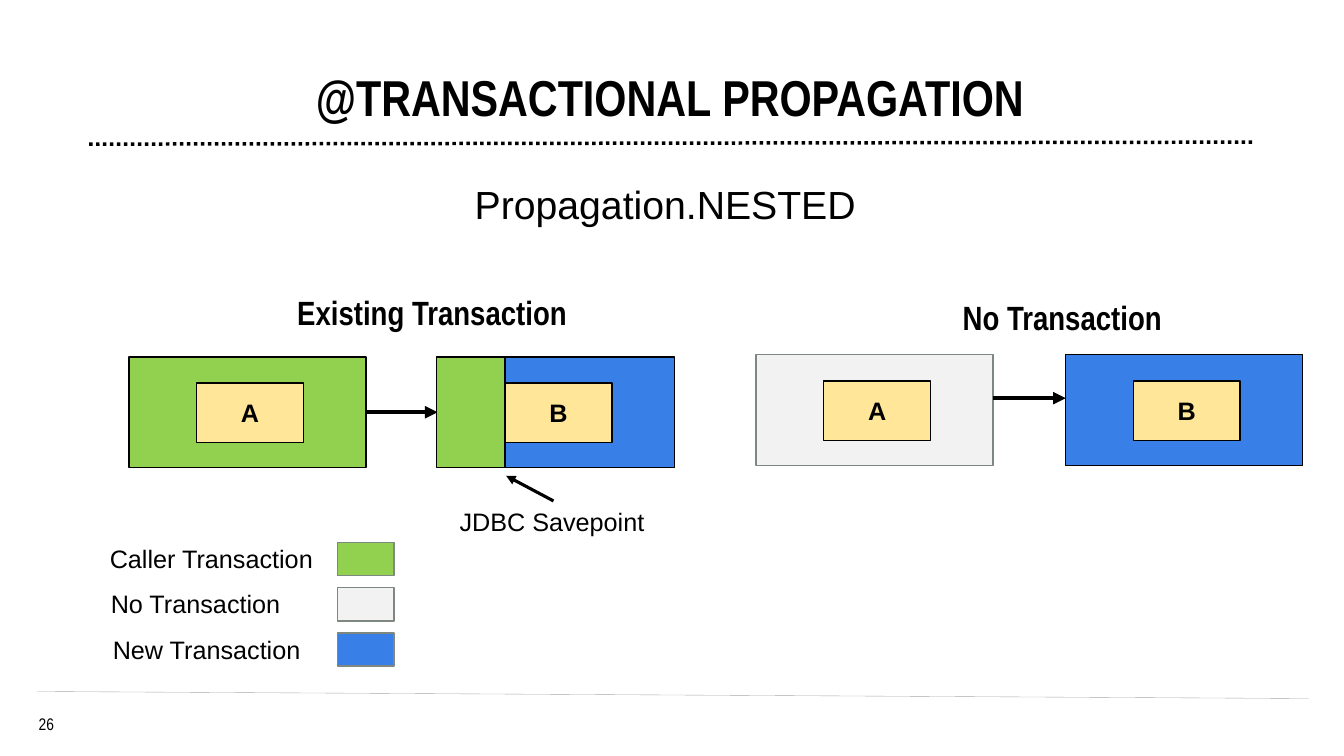
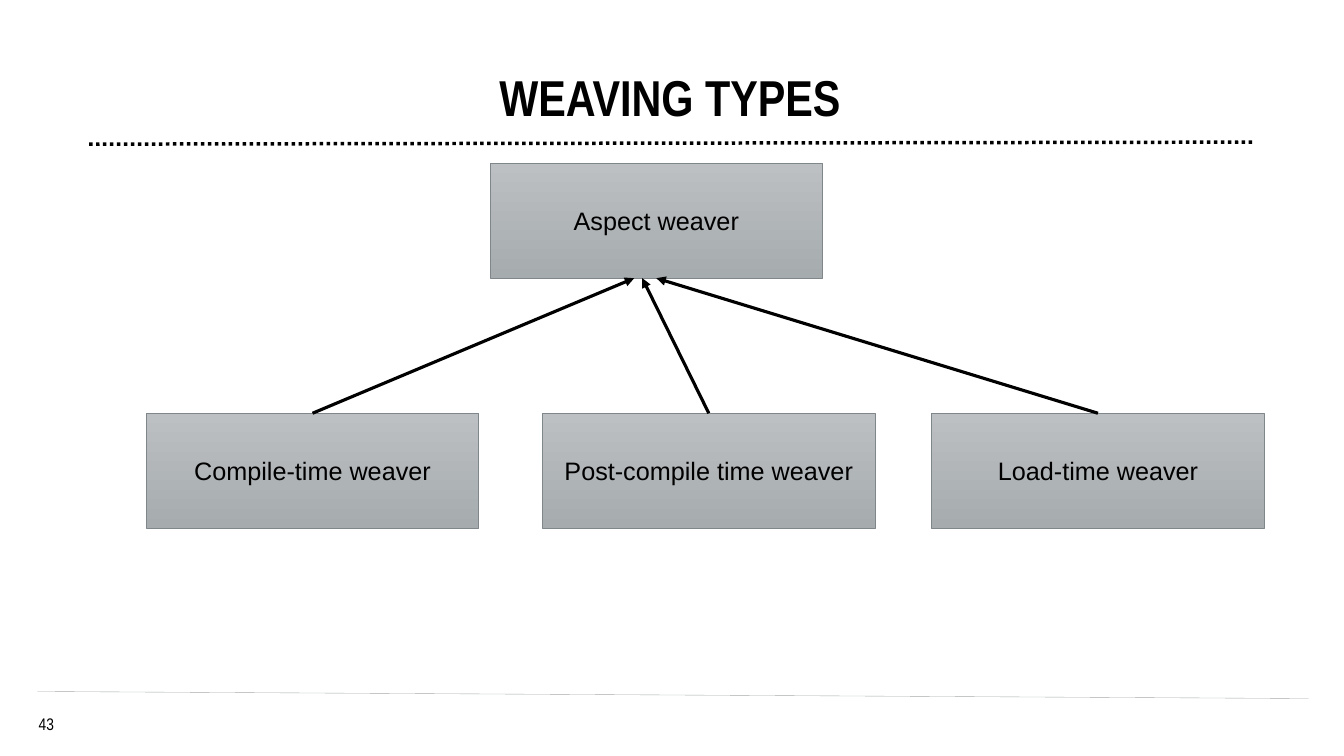
from dataclasses import dataclass

from lxml.etree import SubElement
from pptx import Presentation
from pptx.dml.color import RGBColor
from pptx.enum.dml import MSO_LINE
from pptx.enum.shapes import MSO_CONNECTOR, MSO_SHAPE
from pptx.enum.text import MSO_ANCHOR, PP_ALIGN
from pptx.oxml.ns import qn
from pptx.util import Inches, Pt


@dataclass(frozen=True)
class Theme:
    black: str = "000000"
    green: str = "92D050"
    grey: str = "F2F2F2"
    blue: str = "387FE8"
    cream: str = "FFE699"
    grey_edge: str = "7F8781"
    steel: tuple = ("BDC0C2", "A6ABAE")
    steel_edge: str = "7F878B"
    footer_rule: str = "A6AAA9"
    body_font: str = "Arial"
    narrow_font: str = "Arial Narrow"
    title_size: int = 36
    subtitle_size: int = 28
    heading_size: int = 24
    body_size: int = 18
    number_size: int = 12


THEME = Theme()
TOP, LEFT, BOTTOM, RIGHT = range(4)

# Propagation slide: one scenario is two participants joined by a call
OUTER = (2.35, 1.1)
INNER = (1.06, 0.59)
INNER_OFFSET = (0.67, 0.26)
SCENARIOS = [
    {"heading": "Existing Transaction", "heading_at": (2.85, 2.85), "top": 3.54,
     "participants": [("A", 1.28, THEME.green, THEME.black),
                      ("B", 4.34, THEME.blue, THEME.black)],
     "call_y": None},
    {"heading": "No Transaction", "heading_at": (9.45, 2.9), "top": 3.52,
     "participants": [("A", 7.5, THEME.grey, THEME.grey_edge),
                      ("B", 10.57, THEME.blue, THEME.black)],
     "call_y": 3.95},
]
SAVEPOINT_STRIP = (4.33, 3.54, 0.68, 1.1)
LEGEND = [("Caller Transaction", 0.99, THEME.green),
          ("No Transaction", 1.0, THEME.grey),
          ("New Transaction", 1.02, THEME.blue)]
LEGEND_TOP, LEGEND_STEP = 5.34, 0.45

# Weaving slide: every kind points at the parent's lower edge
WEAVER = (3.3, 1.14)
PARENT = ("Aspect weaver", 4.86, 1.62)
KINDS_TOP = 4.1
KINDS = [("Compile-time weaver", 1.45, 6.29),
         ("Post-compile time weaver", 5.38, 6.37),
         ("Load-time weaver", 9.24, 6.51)]


def rgb(color):
    return RGBColor.from_string(color)


def write(shape, text, size, font=THEME.body_font, bold=False, align=PP_ALIGN.LEFT):
    shape.text_frame.word_wrap = True
    para = shape.text_frame.paragraphs[0]
    para.text = text
    para.alignment = align
    para.font.size = Pt(size)
    para.font.name = font
    para.font.bold = bold
    para.font.color.rgb = rgb(THEME.black)
    return para


def add_text(slide, text, at, size, **style):
    box = slide.shapes.add_textbox(*map(Inches, at))
    write(box, text, size, **style)
    return box


def add_box(slide, at, fill, edge, edge_width=1, text=None, bold=False):
    """Draw a rectangle; a pair of fill colours runs from top to bottom."""
    box = slide.shapes.add_shape(MSO_SHAPE.RECTANGLE, *map(Inches, at))
    box.shadow.inherit = False
    if isinstance(fill, tuple):
        box.fill.gradient()
        box.fill.gradient_angle = 270
        for stop, color in zip(box.fill.gradient_stops, fill):
            stop.color.rgb = rgb(color)
    else:
        box.fill.solid()
        box.fill.fore_color.rgb = rgb(fill)
    box.line.color.rgb = rgb(edge)
    box.line.width = Pt(edge_width)
    if text:
        write(box, text, THEME.body_size, bold=bold, align=PP_ALIGN.CENTER)
        box.text_frame.vertical_anchor = MSO_ANCHOR.MIDDLE
    return box


def add_line(slide, start, end, width, color=THEME.black, dash=None, arrow=False):
    line = slide.shapes.add_connector(MSO_CONNECTOR.STRAIGHT,
                                      *map(Inches, (*start, *end)))
    line.line.color.rgb = rgb(color)
    line.line.width = Pt(width)
    if dash:
        line.line.dash_style = dash
    properties = line._element.spPr
    if arrow:
        SubElement(properties.find(qn("a:ln")), qn("a:tailEnd"), type="triangle")
    SubElement(properties, qn("a:effectLst"))
    return line


def add_page(deck, title, number):
    """Add a slide with the shared title, rules and page number."""
    slide = deck.slides.add_slide(deck.slide_layouts[6])
    number_box = add_text(slide, number, (0.22, 7.08, 0.48, 0.2), THEME.number_size,
                          font=THEME.narrow_font, align=PP_ALIGN.CENTER)
    frame = number_box.text_frame
    frame.margin_left = frame.margin_right = frame.margin_top = frame.margin_bottom = 0
    add_line(slide, (0.37, 6.86), (12.98, 6.93), 0.25, THEME.footer_rule)
    add_line(slide, (12.42, 1.41), (0.88, 1.43), 2.5, dash=MSO_LINE.ROUND_DOT)
    title_box = add_text(slide, title, (1.32, 0.17, 10.75, 1.12), THEME.title_size,
                         font=THEME.narrow_font, bold=True, align=PP_ALIGN.CENTER)
    title_box.text_frame.margin_left = 0
    title_box.text_frame.vertical_anchor = MSO_ANCHOR.BOTTOM
    title_box.text_frame.paragraphs[0].line_spacing = 0.7
    return slide


def add_scenario(slide, scenario):
    add_text(slide, scenario["heading"], (*scenario["heading_at"], 3.37, 0.5),
             THEME.heading_size, font=THEME.narrow_font, bold=True)
    top = scenario["top"]
    outers = []
    for name, left, fill, edge in scenario["participants"]:
        outers.append(add_box(slide, (left, top, *OUTER), fill, edge))
        add_box(slide, (left + INNER_OFFSET[0], top + INNER_OFFSET[1], *INNER),
                THEME.cream, THEME.black, text=name, bold=True)
    caller_left, callee_left = (part[1] for part in scenario["participants"])
    call_y = scenario["call_y"] or top + OUTER[1] / 2
    call = add_line(slide, (caller_left + OUTER[0], call_y), (callee_left, call_y),
                    3, arrow=True)
    if scenario["call_y"] is None:
        call.begin_connect(outers[0], RIGHT)
        call.end_connect(outers[1], LEFT)


def build_propagation(deck):
    slide = add_page(deck, "@TRANSACTIONAL PROPAGATION", "26")
    add_text(slide, "Propagation.NESTED", (4.61, 1.74, 4.3, 0.57), THEME.subtitle_size)
    for scenario in SCENARIOS:
        add_scenario(slide, scenario)
    add_box(slide, SAVEPOINT_STRIP, THEME.green, THEME.black)
    add_text(slide, "JDBC Savepoint", (4.46, 4.97, 2.3, 0.4), THEME.body_size)
    add_line(slide, (5.49, 4.97), (5.02, 4.72), 2.25, arrow=True)
    for row, (label, left, fill) in enumerate(LEGEND):
        top = LEGEND_TOP + row * LEGEND_STEP
        add_text(slide, label, (left, top, 2.35, 0.4), THEME.body_size)
        add_box(slide, (3.35, top + 0.04, 0.56, 0.33), fill, THEME.grey_edge)


def add_weaver(slide, name, left, top):
    return add_box(slide, (left, top, *WEAVER), THEME.steel, THEME.steel_edge, 0.5, name)


def build_weaving(deck):
    slide = add_page(deck, "WEAVING TYPES", "43")
    add_weaver(slide, *PARENT)
    parent_bottom = PARENT[2] + WEAVER[1]
    for name, left, target_x in KINDS:
        kind = add_weaver(slide, name, left, KINDS_TOP)
        arrow = add_line(slide, (left + WEAVER[0] / 2, KINDS_TOP),
                         (target_x, parent_bottom), 2.25, arrow=True)
        arrow.begin_connect(kind, TOP)


def main():
    deck = Presentation()
    deck.slide_width, deck.slide_height = Inches(13.33), Inches(7.5)
    build_propagation(deck)
    build_weaving(deck)
    deck.save("out.pptx")


if __name__ == "__main__":
    main()
